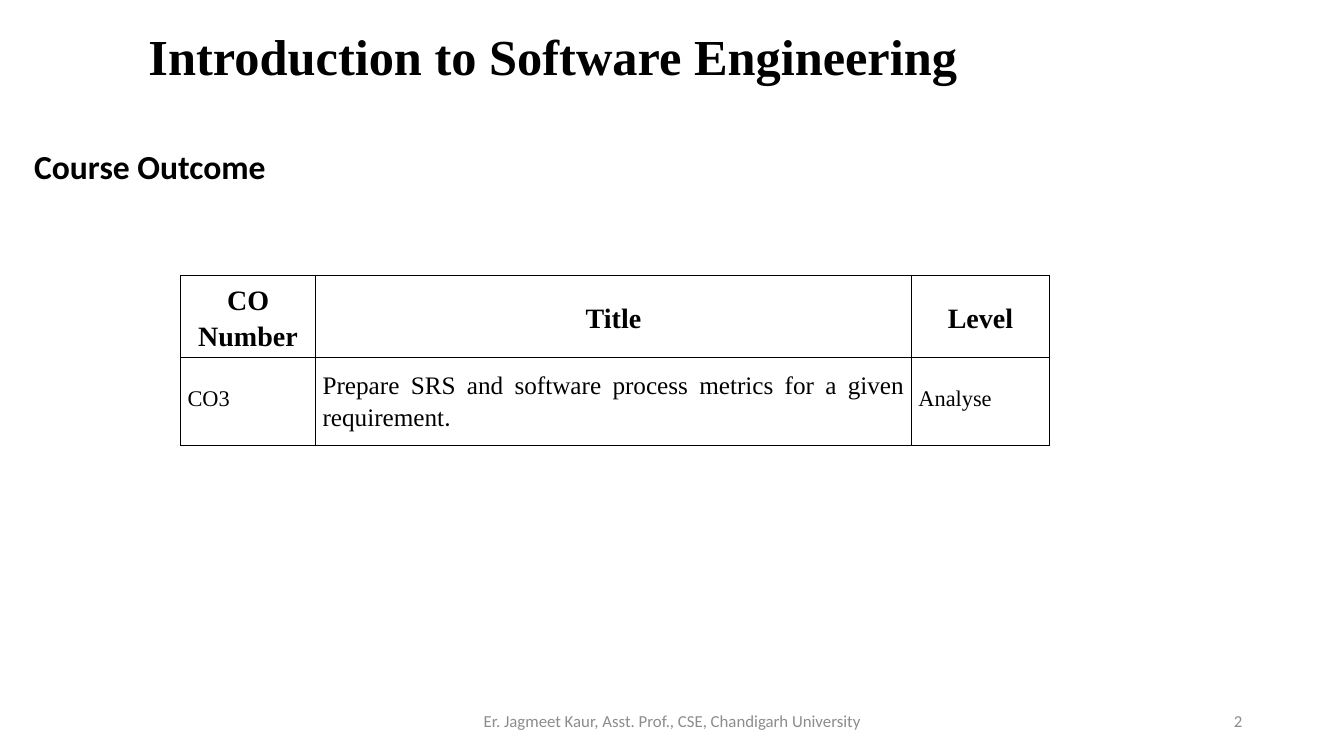
from lxml import etree
from pptx import Presentation
from pptx.dml.color import RGBColor
from pptx.enum.text import MSO_ANCHOR as ANCHOR, PP_ALIGN as ALIGN
from pptx.oxml import parse_xml
from pptx.oxml.ns import nsdecls
from pptx.util import Inches, Pt

SERIF, SANS = "Times New Roman", "Calibri"
BLACK, GREY = "000000", "8C8C8C"


def write(tf, text, size, font=SERIF, color=BLACK, bold=False,
          align=ALIGN.LEFT, spacing=1.0, after=0):
    """Append a run to the first paragraph of a text frame and format both."""
    p = tf.paragraphs[0]
    p.alignment, p.line_spacing, p.space_after = align, spacing, Pt(after)
    r = p.add_run()
    r.text = text
    r.font.size, r.font.name, r.font.bold = Pt(size), font, bold
    r.font.color.rgb = RGBColor.from_string(color)


def add_box(x, y, w, h, anchor=ANCHOR.TOP, wrap=True):
    tf = s.shapes.add_textbox(Inches(x), Inches(y), Inches(w), Inches(h)).text_frame
    tf.word_wrap, tf.vertical_anchor = wrap, anchor
    return tf


prs = Presentation()
prs.slide_width, prs.slide_height = Inches(13.33), Inches(7.5)
s = prs.slides.add_slide(prs.slide_layouts[6])

# Headings
title = add_box(1.05, 0.25, 8.87, 0.86, ANCHOR.BOTTOM)
title.margin_bottom = Inches(0.25)
write(title, "Introduction to Software Engineering", 36, bold=True,
      align=ALIGN.CENTER, spacing=0.9)
write(add_box(0.24, 1.4, 2.6, 0.5, wrap=False), "Course Outcome", 24, SANS, bold=True)

# Outcome table
table = s.shapes.add_table(2, 3, Inches(1.79), Inches(2.73),
                           Inches(8.62), Inches(1.69)).table
table.first_row = table.horz_banding = False
for col, width in zip(table.columns, (1.34, 5.91, 1.37)):
    col.width = Inches(width)
for row, height in zip(table.rows, (0.82, 0.87)):
    row.height = Inches(height)

for cell in table.iter_cells():
    cell.vertical_anchor = ANCHOR.MIDDLE
    cell.margin_left = cell.margin_right = Inches(0.07)
    cell.margin_top = cell.margin_bottom = 0
    cell.fill.background()
    tc_pr = cell.fill._xPr
    for i, side in enumerate("LRTB"):
        tc_pr.insert(i, parse_xml(
            f'<a:ln{side} {nsdecls("a")} w="12700"><a:solidFill>'
            f'<a:srgbClr val="{BLACK}"/></a:solidFill></a:ln{side}>'))

for c, heading in enumerate(("CO Number", "Title", "Level")):
    write(table.cell(0, c).text_frame, heading, 20, bold=True,
          align=ALIGN.CENTER, spacing=1.15)
for c, text in ((0, "CO3"), (2, "Analyse")):
    write(table.cell(1, c).text_frame, text, 16, spacing=Pt(14.6))
for text, font in (("Prepare SRS and software process metrics for a given requirement", SERIF),
                   (".", SANS)):
    write(table.cell(1, 1).text_frame, text, 18, font,
          align=ALIGN.JUSTIFY, spacing=1.07, after=8)

# Footer
for x, w, text, align in (
        (4.42, 4.5, "Er. Jagmeet Kaur, Asst. Prof., CSE, Chandigarh University", ALIGN.CENTER),
        (9.42, 3, "2", ALIGN.RIGHT)):
    write(add_box(x, 6.95, w, 0.4, ANCHOR.MIDDLE), text, 12, SANS, GREY, align=align)

prs.save("out.pptx")
